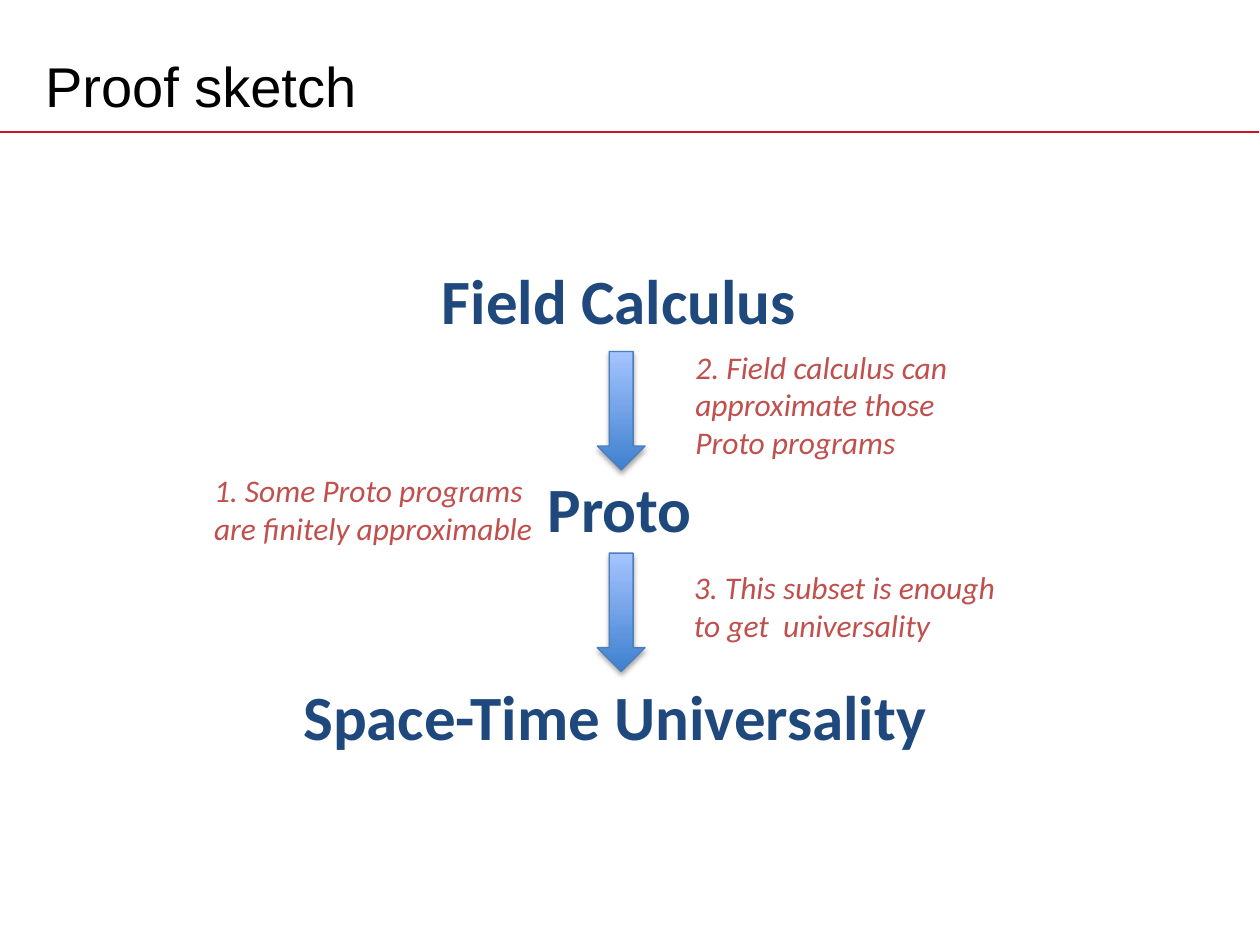
from lxml import etree
from pptx import Presentation, util as u
from pptx.dml.color import RGBColor
from pptx.enum import shapes, text
from pptx.oxml.ns import qn

THEME = {
    "title": dict(font="Arial", size=32, color="000000"),
    "heading": dict(font="Calibri", size=36, color="1F497D", bold=True),
    "note": dict(font="Calibri", size=18, color="C0504D", italic=True),
    "rule": "CE1126",
    "arrow_line": "4B7EBC",
    "arrow_fill": ("3F80CE", "A4C4FF"),
}

presentation = Presentation()
presentation.slide_width, presentation.slide_height = u.Inches(10), u.Inches(7.5)
slide = presentation.slides.add_slide(presentation.slide_layouts[6])

# Grid of 100 columns by 75 rows
COLUMN = presentation.slide_width / 100
ROW = presentation.slide_height / 75


def place(left, top, width, height):
    return [round(n * unit) for n, unit in
            zip((left, top, width, height), (COLUMN, ROW, COLUMN, ROW))]


def add_text(area, lines, style, wrap=True, hanging=0):
    box = slide.shapes.add_textbox(*place(*area))
    frame = box.text_frame
    frame.word_wrap = wrap
    for number, line in enumerate(lines):
        paragraph = frame.paragraphs[0] if number == 0 else frame.add_paragraph()
        if hanging:
            properties = paragraph._p.get_or_add_pPr()
            properties.set("marL", str(round(hanging * COLUMN)))
            properties.set("indent", str(-round(hanging * COLUMN)))
        run = paragraph.add_run()
        run.text = line
        run.font.name = style["font"]
        run.font.size = u.Pt(style["size"])
        run.font.bold = style.get("bold", False)
        run.font.italic = style.get("italic", False)
        run.font.color.rgb = RGBColor.from_string(style["color"])
    return frame


# Title and the rule under it
rule = slide.shapes.add_connector(
    shapes.MSO_CONNECTOR.STRAIGHT, 0, round(10.5 * ROW), round(99.9 * COLUMN), round(10.5 * ROW))
rule.line.color.rgb = RGBColor.from_string(THEME["rule"])
rule.line.width = u.Pt(1)
etree.SubElement(rule._element.spPr, qn("a:effectLst"))
title = add_text((2.6, 3, 90, 7.5), ["Proof sketch"], THEME["title"])
title.vertical_anchor = text.MSO_ANCHOR.MIDDLE

# Headings, evenly spaced down the slide
headings = [("Field Calculus", 34.1, 30.4),
            ("Proto", 42.5, 13.6),
            ("Space-Time Universality", 23.1, 52.4)]
for step, (words, left, width) in enumerate(headings):
    add_text((left, 20.3 + 16.5 * step, width, 7.1), [words], THEME["heading"], wrap=False)

# Arrows between the headings
for top in (27.9, 43.9):
    arrow = slide.shapes.add_shape(
        shapes.MSO_SHAPE.DOWN_ARROW, *place(47.4, top, 3.8, 9.4))
    arrow.fill.gradient()
    arrow.fill.gradient_angle = 90
    for stop, color, position in zip(arrow.fill.gradient_stops, THEME["arrow_fill"], (0, 1)):
        stop.color.rgb = RGBColor.from_string(color)
        stop.position = position
    arrow.line.color.rgb = RGBColor.from_string(THEME["arrow_line"])
    arrow.line.width = u.Pt(0.75)
    # Soft shadow straight below
    arrow.shadow.inherit = False
    effects = arrow._element.spPr.find(qn("a:effectLst"))
    shadow = etree.SubElement(
        effects, qn("a:outerShdw"), blurRad=str(u.Pt(3.1)), dist=str(u.Pt(1.8)),
        dir="5400000", rotWithShape="0")
    shade = etree.SubElement(shadow, qn("a:srgbClr"), val="000000")
    etree.SubElement(shade, qn("a:alpha"), val="35000")

# Proof steps beside the chain
notes = [
    ((16, 36.9, 29.2, 7.1), ["1. Some Proto programs", "are finitely approximable"]),
    ((54.2, 27.1, 24.2, 10.1),
     ["2. Field calculus can", "approximate those", "Proto programs"]),
    ((54.1, 44.6, 32.4, 7.1), ["3. This subset is enough", "to get  universality"]),
]
for area, lines in notes:
    add_text(area, lines, THEME["note"], hanging=3.8)

presentation.save("out.pptx")
